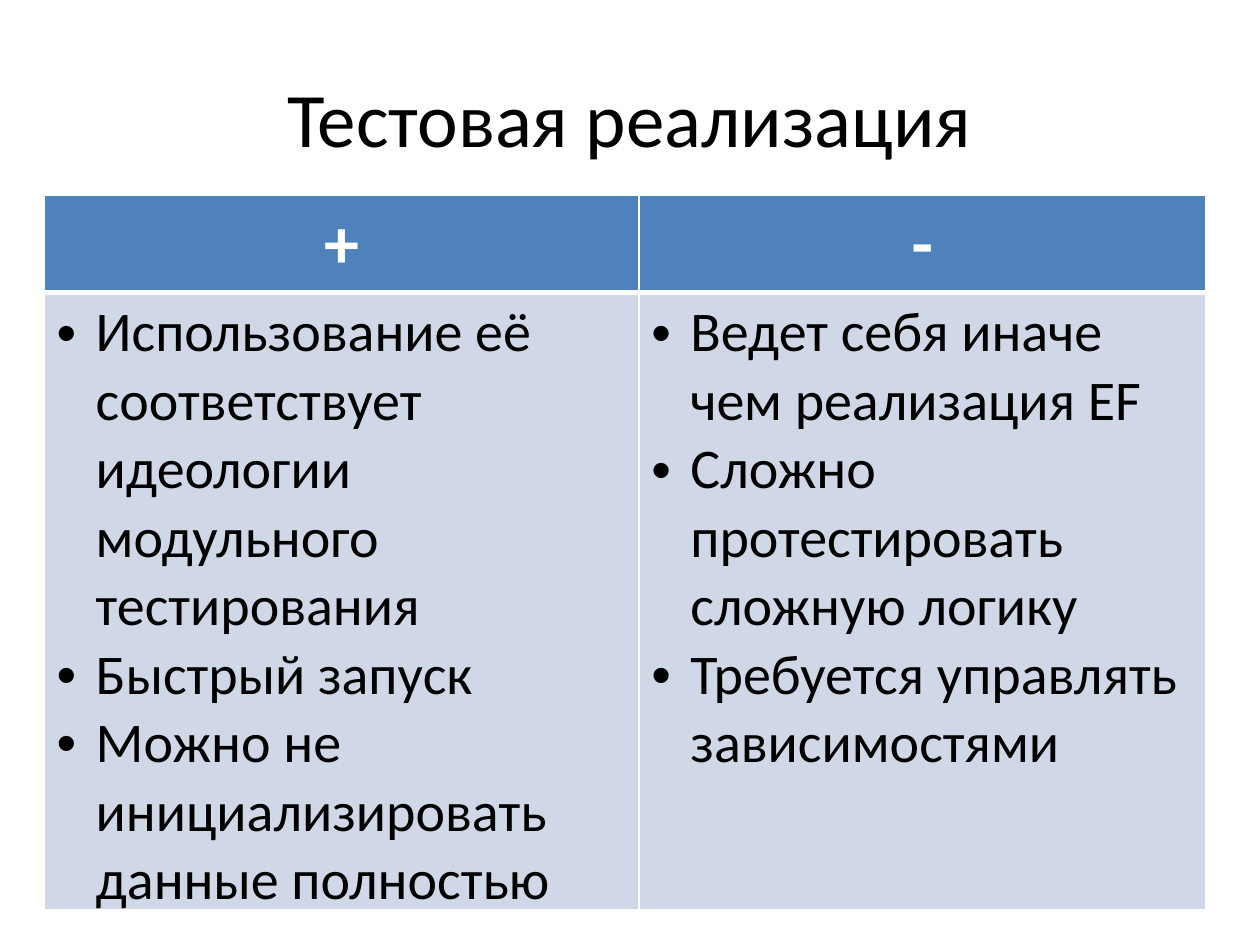
import dataclasses
import pptx
import pptx.dml.color
import pptx.enum.text
import pptx.oxml.ns
import pptx.util
from lxml import etree

Inches = pptx.util.Inches
Pt = pptx.util.Pt
Align = pptx.enum.text.PP_ALIGN
Anchor = pptx.enum.text.MSO_ANCHOR
qn = pptx.oxml.ns.qn
WIDE, HIGH = 10, 7.5


@dataclasses.dataclass(frozen=True)
class Theme:
    face: str = "Calibri"
    ink: str = "000000"
    paper: str = "FFFFFF"
    head: str = "4F81BD"
    body: str = "D0D8E8"
    title_size: int = 44
    head_size: int = 40
    body_size: int = 32
    indent: float = 0.31
    thin: int = 1
    thick: int = 3


@dataclasses.dataclass(frozen=True)
class Column:
    sign: str
    points: tuple[str, ...]
    width: float


THEME = Theme()
COLUMNS = (
    Column("+", ("Использование её соответствует идеологии модульного тестирования",
                 "Быстрый запуск",
                 "Можно не инициализировать данные полностью"), 0.472),
    Column("-", ("Ведет себя иначе чем реализация EF",
                 "Сложно протестировать сложную логику",
                 "Требуется управлять зависимостями"), 0.45),
)
ROWS = (0.092, 0.633)


def across(share: float) -> int:
    return Inches(WIDE * share)


def down(share: float) -> int:
    return Inches(HIGH * share)


def style(para, size: int, color: str, bold: bool = False) -> None:
    font = para.font
    font.name, font.size, font.bold = THEME.face, Pt(size), bold
    font.color.rgb = pptx.dml.color.RGBColor.from_string(color)


def bullet(para) -> None:
    props = para._p.get_or_add_pPr()
    props.set("marL", str(Inches(THEME.indent)))
    props.set("indent", str(-Inches(THEME.indent)))
    font = etree.Element(qn("a:buFont"), typeface="Arial")
    mark = etree.Element(qn("a:buChar"), char="•")
    props.insert(0, font)
    font.addnext(mark)


def paint(cell, color: str, top: int, bottom: int) -> None:
    """Set the borders, then the fill, as the schema orders them."""
    props = cell._tc.get_or_add_tcPr()
    sides = {"L": THEME.thin, "R": THEME.thin, "T": top, "B": bottom}
    for side, width in sides.items():
        line = etree.SubElement(props, qn(f"a:ln{side}"), w=str(Pt(width)))
        fill = etree.SubElement(line, qn("a:solidFill"))
        etree.SubElement(fill, qn("a:srgbClr"), val=THEME.paper)
    cell.fill.solid()
    cell.fill.fore_color.rgb = pptx.dml.color.RGBColor.from_string(color)


def add_title(slide, text: str) -> None:
    box = slide.shapes.add_textbox(across(0.05), down(0.04), across(0.9), down(1 / 6))
    frame = box.text_frame
    frame.word_wrap = True
    frame.vertical_anchor = Anchor.MIDDLE
    frame.text = text
    para = frame.paragraphs[0]
    para.alignment = Align.CENTER
    style(para, THEME.title_size, THEME.ink)


def fill_head(cell, sign: str) -> None:
    cell.text = sign
    para = cell.text_frame.paragraphs[0]
    para.alignment = Align.CENTER
    style(para, THEME.head_size, THEME.paper, bold=True)
    paint(cell, THEME.head, THEME.thin, THEME.thick)


def fill_body(cell, points: tuple[str, ...]) -> None:
    cell.text = "\n".join(points)
    for para in cell.text_frame.paragraphs:
        style(para, THEME.body_size, THEME.ink)
        bullet(para)
    paint(cell, THEME.body, THEME.thick, THEME.thin)


def add_grid(slide, columns: tuple[Column, ...]) -> None:
    width = sum(col.width for col in columns)
    frame = slide.shapes.add_table(len(ROWS), len(columns), across(0.035),
                                   down(0.207), across(width), down(sum(ROWS)))
    table = frame.table
    for row, share in zip(table.rows, ROWS):
        row.height = down(share)
    for index, col in enumerate(columns):
        table.columns[index].width = across(col.width)
        fill_head(table.cell(0, index), col.sign)
        fill_body(table.cell(1, index), col.points)


def main() -> None:
    deck = pptx.Presentation()
    deck.slide_width, deck.slide_height = Inches(WIDE), Inches(HIGH)
    slide = deck.slides.add_slide(deck.slide_layouts[6])
    add_title(slide, "Тестовая реализация")
    add_grid(slide, COLUMNS)
    deck.save("out.pptx")


if __name__ == "__main__":
    main()
